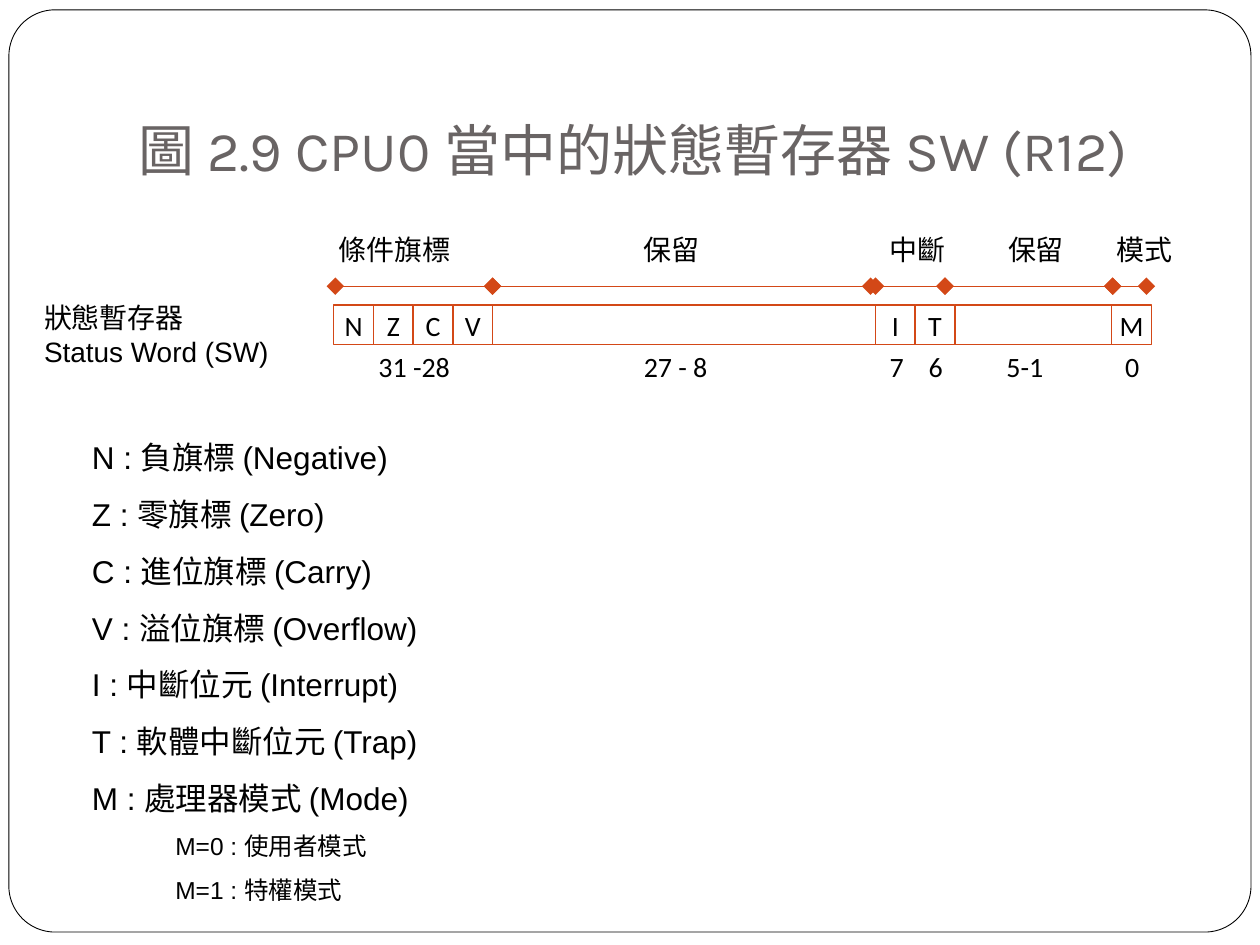
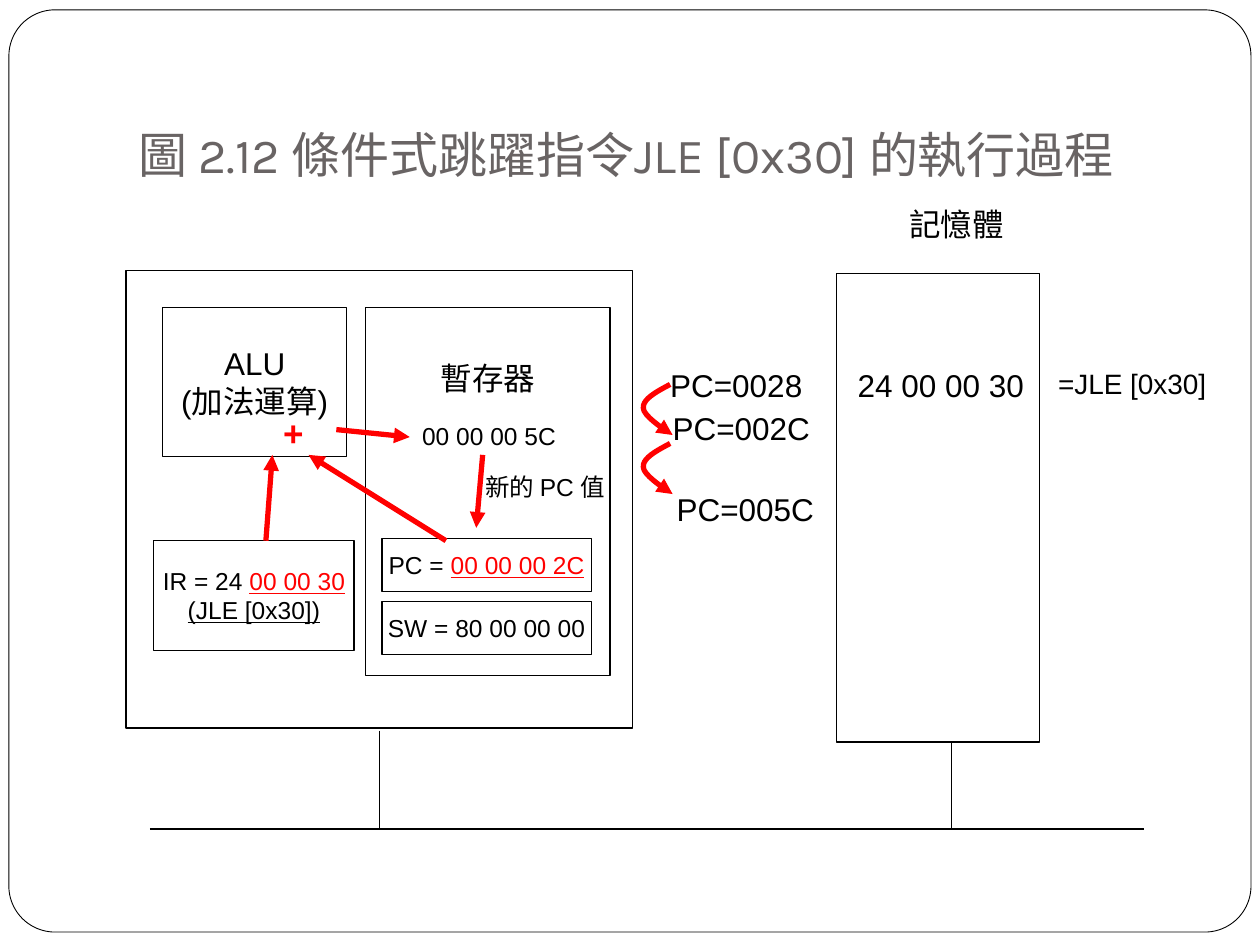
from itertools import pairwise

from lxml.etree import SubElement
from pptx import Presentation
from pptx.dml.color import RGBColor
from pptx.enum.shapes import MSO_CONNECTOR, MSO_SHAPE, PP_PLACEHOLDER
from pptx.enum.text import MSO_ANCHOR, MSO_AUTO_SIZE, PP_ALIGN
from pptx.oxml.ns import qn
from pptx.util import Cm, Pt

BLACK = RGBColor(0x00, 0x00, 0x00)
WHITE = RGBColor(0xFF, 0xFF, 0xFF)
GRAY = RGBColor(0x69, 0x64, 0x64)
ORANGE = RGBColor(0xD3, 0x48, 0x17)
RED = RGBColor(0xFF, 0x00, 0x00)

TITLE_FONT = "Karla"
TEXT_FONT = "Arial"
BIT_FONT = "Calibri"

BIT_WIDTH = 0.8
REGISTER_LEFT = 6.73
REGISTER_TOP = 6.15
SPAN_TOP = 5.77


def add_run(paragraph, text, size, font=TEXT_FONT, color=BLACK, underline=None, bold=None):
    run = paragraph.add_run()
    run.text = text
    run.font.size = Pt(size)
    run.font.name = font
    run.font.color.rgb = color
    run.font.underline = underline
    run.font.bold = bold


def write_lines(frame, lines, size, font=TEXT_FONT, align=PP_ALIGN.LEFT, color=BLACK, bold=None):
    for number, line in enumerate(lines):
        paragraph = frame.add_paragraph() if number else frame.paragraphs[0]
        paragraph.alignment = align
        pieces = [(line, color, None)] if isinstance(line, str) else line
        for text, piece_color, underline in pieces:
            add_run(paragraph, text, size, font, piece_color, underline, bold)


def add_caption(slide, left, top, width, lines, size, align=PP_ALIGN.LEFT, **style):
    height = 0.25 + len(lines) * size * 0.042
    caption = slide.shapes.add_textbox(Cm(left), Cm(top), Cm(width), Cm(height))
    frame = caption.text_frame
    frame.word_wrap = False
    frame.auto_size = MSO_AUTO_SIZE.SHAPE_TO_FIT_TEXT
    frame.margin_right = 0
    if align == PP_ALIGN.CENTER:
        frame.margin_left = 0
    write_lines(frame, lines, size, align=align, **style)


def add_box(slide, left, top, width, height, lines=(), size=14, font=TEXT_FONT, color=BLACK):
    box = slide.shapes.add_shape(
        MSO_SHAPE.RECTANGLE, Cm(left), Cm(top), Cm(width), Cm(height))
    box.shadow.inherit = False
    box.fill.background()
    box.line.color.rgb = color
    box.line.width = Pt(0.75)
    box.text_frame.word_wrap = False
    box.text_frame.vertical_anchor = MSO_ANCHOR.MIDDLE
    write_lines(box.text_frame, lines, size, font, PP_ALIGN.CENTER)
    return box


def style_stroke(stroke, color, width, ends=(), size="med"):
    stroke.line.color.rgb = color
    stroke.line.width = Pt(width)
    outline = stroke.element.spPr.find(qn("a:ln"))
    for end, kind in ends:
        SubElement(outline, qn(end), type=kind, w=size, len=size)


def add_line(slide, start, end, color=BLACK, width=0.75, ends=(), size="med"):
    points = [Cm(value) for value in (*start, *end)]
    line = slide.shapes.add_connector(MSO_CONNECTOR.STRAIGHT, *points)
    style_stroke(line, color, width, ends, size)
    SubElement(line.element.spPr, qn("a:effectLst"))


ARROW = (("a:tailEnd", "triangle"),)
DIAMONDS = (("a:headEnd", "diamond"), ("a:tailEnd", "diamond"))


def bezier(points, steps=10):
    for step in range(1, steps + 1):
        t = step / steps
        weights = ((1 - t) ** 3, 3 * t * (1 - t) ** 2, 3 * t ** 2 * (1 - t), t ** 3)
        yield tuple(
            Cm(sum(weight * point[axis] for weight, point in zip(weights, points)))
            for axis in (0, 1))


def add_jump(slide, left, top):
    upper = ((0.56, 0), (0.28, 0.15), (0, 0.3), (0.02, 0.48))
    lower = ((0.02, 0.48), (0.02, 0.66), (0.61, 1.02), (0.61, 1.02))
    halves = [[(left + x, top + y) for x, y in half] for half in (upper, lower)]
    start_x, start_y = halves[0][0]
    builder = slide.shapes.build_freeform(Cm(start_x), Cm(start_y))
    builder.add_line_segments(
        [point for half in halves for point in bezier(half)], close=False)
    jump = builder.convert_to_shape()
    jump.shadow.inherit = False
    jump.fill.background()
    style_stroke(jump, RED, 3, ARROW)


def set_title(slide, text, size):
    write_lines(slide.shapes.title.text_frame, [text], size, TITLE_FONT, color=GRAY)


def set_up_master(master, slide):
    title = master.placeholders.get(PP_PLACEHOLDER.TITLE)
    title.left, title.top, title.width, title.height = Cm(2.54), Cm(0.76), Cm(21.59), Cm(3.18)
    title.text_frame.vertical_anchor = MSO_ANCHOR.BOTTOM
    title.text_frame.margin_bottom = Cm(0.25)
    title.text_frame.auto_size = MSO_AUTO_SIZE.NONE
    border = slide.shapes.add_shape(
        MSO_SHAPE.ROUNDED_RECTANGLE, Cm(0.18), Cm(0.2), Cm(25.04), Cm(18.59))
    border.adjustments[0] = 0.05
    border.shadow.inherit = False
    border.fill.solid()
    border.fill.fore_color.rgb = WHITE
    border.line.color.rgb = BLACK
    border.line.width = Pt(0.5)
    border.element.nvSpPr.cNvPr.set("id", "20")
    master.shapes.element.insert(2, border.element)


def add_flag_list(body, flags, modes):
    body.left, body.top, body.width, body.height = Cm(1.6), Cm(8.33), Cm(21.64), Cm(10.03)
    frame = body.text_frame
    frame.auto_size = MSO_AUTO_SIZE.NONE
    entries = [(flag, 0, 18, 0) for flag in flags] + [(mode, 1, 14, 1.68) for mode in modes]
    for number, (text, level, size, indent) in enumerate(entries):
        paragraph = frame.add_paragraph() if number else frame.paragraphs[0]
        properties = paragraph._p.get_or_add_pPr()
        properties.set("marL", str(Cm(indent)))
        properties.set("indent", "0")
        SubElement(properties, qn("a:buNone"))
        paragraph.level = level
        paragraph.line_spacing = 1.5
        paragraph.space_before = Pt(0)
        add_run(paragraph, text, size)


def build_status_word(slide):
    set_title(slide, "圖 2.9 CPU0 當中的狀態暫存器 SW (R12)", 32)
    add_caption(slide, 0.64, 5.94, 5.03, ["狀態暫存器", "Status Word (SW)"], 16)

    left = REGISTER_LEFT
    fields = [("N", 1), ("Z", 1), ("C", 1), ("V", 1), ("", 9.65),
              ("I", 1), ("T", 1), ("", 3.95), ("M", 1)]
    for name, bits in fields:
        width = bits * BIT_WIDTH
        add_box(slide, left, REGISTER_TOP, width, 0.8,
                [name] if name else [], 16, BIT_FONT, ORANGE)
        left += width

    spans = [*pairwise((6.76, 9.93, 17.65)), *pairwise((17.55, 19.05, 22.43, 23.11))]
    for start, end in spans:
        add_line(slide, (start, SPAN_TOP), (end, SPAN_TOP), ORANGE, ends=DIAMONDS, size="lg")

    for label, label_left, label_width in (
            ("條件旗標", 6.58, 2.74), ("保留", 12.73, 1.63), ("中斷", 17.68, 1.63),
            ("保留", 20.07, 1.63), ("模式", 22.25, 1.63)):
        add_caption(slide, label_left, 4.57, label_width, [label], 16, align=PP_ALIGN.CENTER)

    for bit_range, range_left, range_width in (
            ("31 -28", 6.76, 3.18), ("27 - 8", 12.73, 1.78), ("7", 17.68, 0.79),
            ("6", 18.47, 0.79), ("5-1", 20.04, 1.24), ("0", 22.43, 0.79)):
        add_caption(slide, range_left, 6.93, range_width, [bit_range], 16,
                    font=BIT_FONT, align=PP_ALIGN.CENTER)

    add_flag_list(
        slide.placeholders[1],
        ["N : 負旗標 (Negative)", "Z : 零旗標 (Zero)", "C : 進位旗標 (Carry)",
         "V : 溢位旗標 (Overflow)", "I : 中斷位元 (Interrupt)",
         "T : 軟體中斷位元 (Trap)", "M : 處理器模式 (Mode)"],
        ["M=0 : 使用者模式", "M=1 : 特權模式"])


def build_jump_execution(slide):
    set_title(slide, "圖 2.12 條件式跳躍指令JLE [0x30] 的執行過程", 28)

    add_box(slide, 16.87, 5.51, 4.09, 9.45)
    add_caption(slide, 18.08, 4.01, 2.41, ["記憶體"], 18)
    add_caption(slide, 17.04, 7.26, 3.86, ["24 00 00 30"], 18)
    add_caption(slide, 21.08, 7.26, 3.53, ["=JLE [0x30]"], 16)

    for start, end in (((3.02, 16.71), (23.06, 16.71)),
                       ((7.65, 14.73), (7.65, 16.71)),
                       ((19.18, 14.97), (19.18, 16.71))):
        add_line(slide, start, end)

    add_box(slide, 2.54, 5.46, 10.21, 9.22)
    add_box(slide, 3.28, 6.2, 3.71, 3, ["ALU", "(加法運算)"], 18)
    registers = add_box(slide, 7.37, 6.2, 4.93, 7.42, ["暫存器"], 18)
    registers.text_frame.vertical_anchor = MSO_ANCHOR.TOP
    registers.text_frame.margin_top = Cm(1.03)
    add_box(slide, 3.1, 10.9, 4.04, 2.21,
            [[("IR = 24 ", BLACK, None), ("00 00 30", RED, True)],
             [("(JLE [0x30])", BLACK, True)]])
    add_box(slide, 7.7, 10.85, 4.22, 1.07,
            [[("PC = ", BLACK, None), ("00 00 00 2C", RED, True)]])
    add_box(slide, 7.7, 12.12, 4.22, 1.07, ["SW = 80 00 00 00"])

    add_caption(slide, 5.46, 8.18, 0.91, ["+"], 20,
                align=PP_ALIGN.CENTER, color=RED, bold=True)
    add_caption(slide, 8.26, 8.36, 3.2, ["00 00 00 5C"], 14)
    add_caption(slide, 9.53, 9.4, 3.15, ["新的 PC 值"], 14)

    for start, end in (((6.78, 8.66), (8.26, 8.81)),
                       ((9.73, 9.17), (9.6, 10.64)),
                       ((8.99, 10.9), (6.22, 9.17)),
                       ((5.36, 10.9), (5.49, 9.17))):
        add_line(slide, start, end, RED, 3, ARROW)

    for counter, left, top in (("PC=0028", 13.26, 7.26), ("PC=002C", 13.31, 8.13),
                               ("PC=005C", 13.39, 9.75)):
        add_caption(slide, left, top, 3.28, [counter], 18)
    for top in (7.75, 8.94):
        add_jump(slide, 12.95, top)


def main():
    deck = Presentation()
    deck.slide_width, deck.slide_height = Cm(25.4), Cm(19.05)
    status_word = deck.slides.add_slide(deck.slide_layouts.get_by_name("Title and Content"))
    jump_execution = deck.slides.add_slide(deck.slide_layouts.get_by_name("Title Only"))
    set_up_master(deck.slide_master, status_word)
    build_status_word(status_word)
    build_jump_execution(jump_execution)
    deck.save("out.pptx")


if __name__ == "__main__":
    main()
